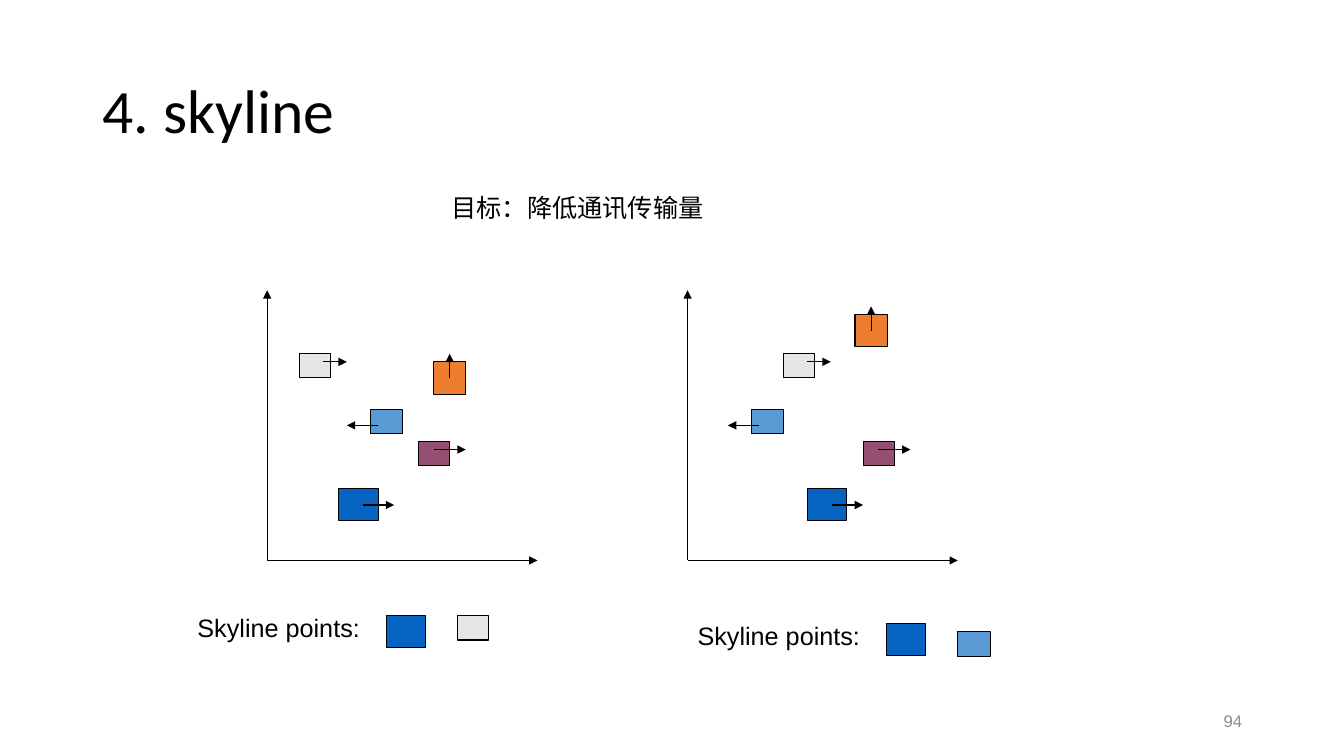
from dataclasses import dataclass

from lxml import etree
from pptx import Presentation
from pptx.dml.color import RGBColor
from pptx.enum.shapes import MSO_CONNECTOR, MSO_SHAPE
from pptx.enum.text import MSO_ANCHOR, MSO_AUTO_SIZE, PP_ALIGN
from pptx.oxml.ns import qn
from pptx.util import Inches, Pt

RECT = MSO_SHAPE.RECTANGLE
STRAIGHT = MSO_CONNECTOR.STRAIGHT
MIDDLE, TOP = MSO_ANCHOR.MIDDLE, MSO_ANCHOR.TOP
LEFT, RIGHT = PP_ALIGN.LEFT, PP_ALIGN.RIGHT
GROW, FIXED = MSO_AUTO_SIZE.SHAPE_TO_FIT_TEXT, MSO_AUTO_SIZE.NONE


@dataclass(frozen=True)
class Theme:
    ink: str = "000000"
    muted: str = "8C8C8C"
    title_font: str = "Calibri"
    body_font: str = "Arial"
    title_size: int = 44
    body_size: int = 18
    number_size: int = 12
    line_width: float = 0.75


THEME = Theme()
AXIS_LENGTH = 2.68

# Moving points: fill, size, arrow start within the box, arrow vector
POINTS = {
    "blue": ("0563C1", (0.39, 0.31), (0.24, 0.16), (0.31, 0)),
    "grey": ("E7E6E6", (0.31, 0.24), (0.23, 0.08), (0.24, 0)),
    "purple": ("954F72", (0.31, 0.24), (0.15, 0.08), (0.32, 0)),
    "orange": ("ED7D31", (0.32, 0.32), (0.16, 0.16), (0, -0.24)),
    "sky": ("5B9BD5", (0.32, 0.24), (0.08, 0.16), (-0.31, 0)),
}

# The two moments: axis origin, point positions, legend label and its points
PLOTS = [
    {
        "origin": (2.65, 5.56),
        "points": {"blue": (3.36, 4.85), "grey": (2.97, 3.51), "purple": (4.15, 4.38),
                   "orange": (4.3, 3.59), "sky": (3.67, 4.06)},
        "label": (1.86, 6.03),
        "skyline": {"blue": (3.83, 6.11), "grey": (4.54, 6.11)},
    },
    {
        "origin": (6.82, 5.56),
        "points": {"blue": (8.01, 4.85), "grey": (7.77, 3.51), "purple": (8.56, 4.38),
                   "orange": (8.48, 3.12), "sky": (7.45, 4.06)},
        "label": (6.82, 6.11),
        "skyline": {"blue": (8.79, 6.19), "sky": (9.5, 6.27)},
    },
]


def rgb(value):
    return RGBColor.from_string(value)


def set_line(sp):
    sp.line.color.rgb = rgb(THEME.ink)
    sp.line.width = Pt(THEME.line_width)


def add_text(s, text, box, size=THEME.body_size, font=THEME.body_font, color=THEME.ink,
             align=LEFT, anchor=TOP, wrap=False, spacing=None):
    sp = s.shapes.add_textbox(*map(Inches, box))
    tf = sp.text_frame
    frame = {"word_wrap": wrap, "vertical_anchor": anchor,
             "auto_size": FIXED if wrap else GROW}
    for name, value in frame.items():
        setattr(tf, name, value)
    p = tf.paragraphs[0]
    p.alignment = align
    p.line_spacing = spacing
    r = p.add_run()
    r.text = text
    for name, value in {"name": font, "size": Pt(size)}.items():
        setattr(r.font, name, value)
    r.font.color.rgb = rgb(color)


def add_arrow(s, start, vector):
    (x, y), (dx, dy) = start, vector
    sp = s.shapes.add_connector(STRAIGHT, *map(Inches, (x, y, x + dx, y + dy)))
    set_line(sp)
    etree.SubElement(sp.line._get_or_add_ln(), qn("a:tailEnd"), type="triangle")
    etree.SubElement(sp._element.spPr, qn("a:effectLst"))


def add_point(s, kind, at):
    fill, size = POINTS[kind][:2]
    sp = s.shapes.add_shape(RECT, *map(Inches, at + size))
    sp.shadow.inherit = False
    sp.fill.solid()
    sp.fill.fore_color.rgb = rgb(fill)
    set_line(sp)


def add_plot(s, plot):
    # Axes
    for vector in ((0, -AXIS_LENGTH), (AXIS_LENGTH, 0)):
        add_arrow(s, plot["origin"], vector)
    # Points and their directions
    for kind, (x, y) in plot["points"].items():
        add_point(s, kind, (x, y))
        (dx, dy), vector = POINTS[kind][2:]
        add_arrow(s, (x + dx, y + dy), vector)
    # Skyline legend
    add_text(s, "Skyline points:", plot["label"] + (1.81, 0.4))
    for kind, at in plot["skyline"].items():
        add_point(s, kind, at)


def main():
    prs = Presentation()
    prs.slide_width, prs.slide_height = Inches(13.33), Inches(7.5)
    s = prs.slides.add_slide(prs.slide_layouts[6])

    # Title and goal
    add_text(s, "4. skyline", (0.92, 0.4, 11.5, 1.45), size=THEME.title_size,
             font=THEME.title_font, anchor=MIDDLE, wrap=True, spacing=0.9)
    add_text(s, "目标：降低通讯传输量", (4.38, 1.86, 2.7, 0.4))

    # Plots before and after the move
    for plot in PLOTS:
        add_plot(s, plot)

    # Slide number
    add_text(s, "94", (9.42, 6.95, 3, 0.4), size=THEME.number_size, color=THEME.muted,
             align=RIGHT, anchor=MIDDLE, wrap=True)

    prs.save("out.pptx")


if __name__ == "__main__":
    main()
